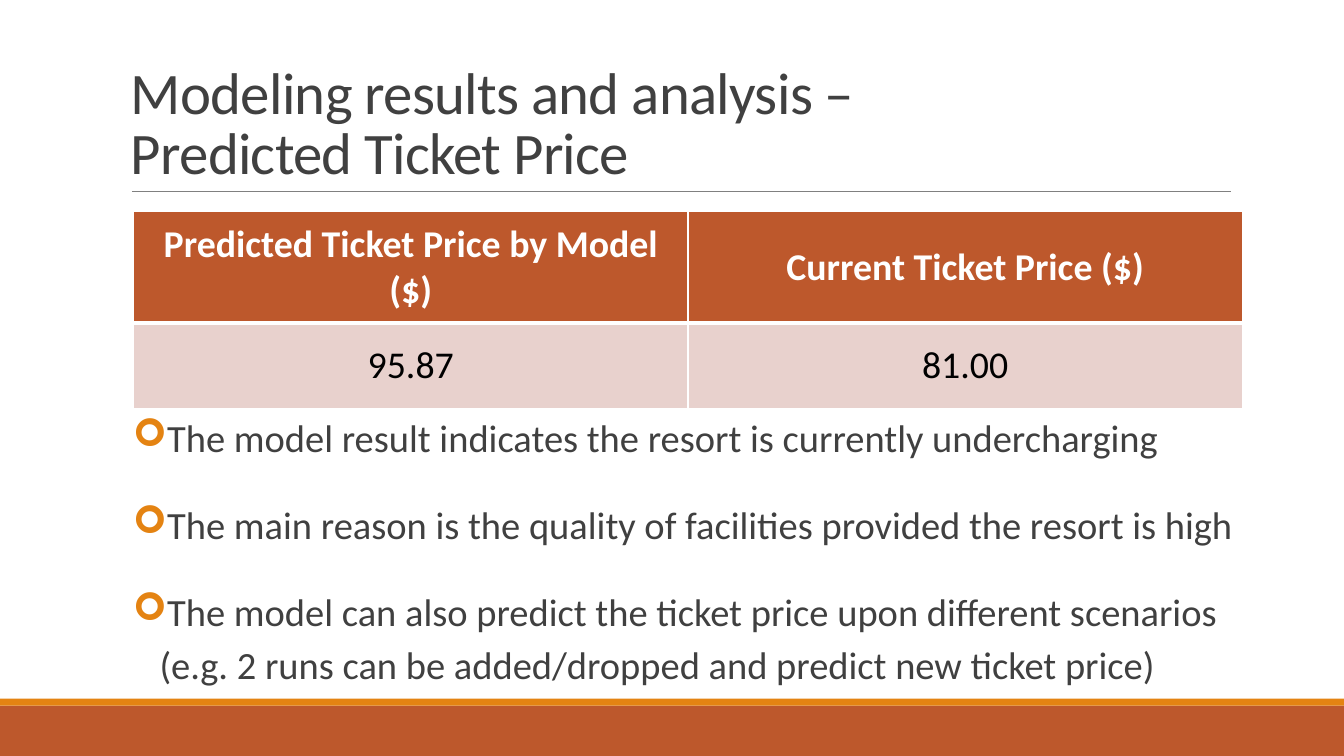
from dataclasses import dataclass

from lxml import etree
from pptx import Presentation
from pptx import util as u
from pptx.dml.color import RGBColor
from pptx.enum import shapes, text
from pptx.oxml import ns

RUST = RGBColor(0xBD, 0x58, 0x2C)
AMBER = RGBColor(0xE4, 0x83, 0x12)
GREY = RGBColor(0x80, 0x80, 0x80)
DARK = RGBColor(0x40, 0x40, 0x40)
PINK = RGBColor(0xE8, 0xD1, 0xCD)
WHITE = RGBColor(0xFF, 0xFF, 0xFF)
BLACK = RGBColor(0, 0, 0)
FONT = "Calibri"


@dataclass(frozen=True)
class Band:
    top: float
    height: float
    fill: RGBColor


@dataclass(frozen=True)
class Point:
    words: str
    line: float
    before: float
    bullet: bool = True


@dataclass(frozen=True)
class Row:
    cells: tuple[str, str]
    height: float
    fill: RGBColor
    ink: RGBColor
    bold: bool
    base: float


BANDS = (Band(504, 36, RUST), Band(499, 5, AMBER))
ROWS = (
    Row(("Predicted Ticket Price by Model ($)", "Current Ticket Price ($)"),
        80, RUST, WHITE, True, 3),
    Row(("95.87", "81.00"), 61, PINK, BLACK, False, 1),
)
POINTS = (
    Point("The model result indicates the resort is currently undercharging", 24, 0),
    Point("The main reason is the quality of facilities provided the resort is high", 48, 12),
    Point("The model can also predict the ticket price upon different scenarios", 48, 12),
    Point("(e.g. 2 runs can be added/dropped and predict new ticket price)", 24, 12, False),
)


def style(item, values: dict) -> None:
    for name, value in values.items():
        setattr(item, name, value)


def write(para, words: str, size: float, ink: RGBColor, bold: bool = False) -> None:
    """Put the words in the paragraph in the slide's font."""
    para.text = words
    for run in para.runs:
        style(run.font, {"name": FONT, "size": u.Pt(size), "bold": bold})
        run.font.color.rgb = ink


def add_band(slide, band: Band, width: int) -> None:
    bar = slide.shapes.add_shape(
        shapes.MSO_SHAPE.RECTANGLE, 0, u.Pt(band.top), width, u.Pt(band.height))
    bar.shadow.inherit = False
    bar.fill.solid()
    bar.fill.fore_color.rgb = band.fill
    bar.line.fill.background()


def add_rule(slide) -> None:
    """Draw the thin line under the title."""
    rule = slide.shapes.add_connector(
        shapes.MSO_CONNECTOR.STRAIGHT, u.Pt(94.3), u.Pt(136.8), u.Pt(879.1), u.Pt(136.8))
    rule.line.width = u.Pt(0.5)
    rule.line.color.rgb = GREY
    etree.SubElement(rule._element.spPr, ns.qn("a:effectLst"))


def add_title(slide) -> None:
    frame = slide.shapes.add_textbox(
        u.Pt(86.4), u.Pt(22.3), u.Pt(792), u.Pt(114.5)).text_frame
    style(frame, {"word_wrap": True, "vertical_anchor": text.MSO_ANCHOR.BOTTOM})
    para = frame.paragraphs[0]
    para.line_spacing = 0.85
    write(para, "Modeling results and analysis –\vPredicted Ticket Price", 42, DARK)
    for run in para.runs:
        run._r.get_or_add_rPr().set("spc", "-50")


def add_mark(para) -> None:
    """Give the paragraph an amber arrow bullet."""
    props = para._p.get_or_add_pPr()
    hue = etree.SubElement(props, ns.qn("a:buClr"))
    etree.SubElement(hue, ns.qn("a:srgbClr"), val=str(AMBER))
    etree.SubElement(props, ns.qn("a:buFont"), typeface="Wingdings")
    etree.SubElement(props, ns.qn("a:buChar"), char="➢")


def add_points(slide) -> None:
    frame = slide.shapes.add_textbox(
        u.Pt(95), u.Pt(305), u.Pt(848), u.Pt(194)).text_frame
    style(frame, {"word_wrap": True, "margin_left": 0, "margin_right": 0,
                  "margin_top": 0, "margin_bottom": 0})
    for i, point in enumerate(POINTS):
        para = frame.add_paragraph() if i else frame.paragraphs[0]
        style(para, {"line_spacing": u.Pt(point.line),
                     "space_before": u.Pt(point.before), "space_after": u.Pt(2)})
        write(para, point.words, 27.5, DARK)
        left, hang = (7.2, -7.2) if point.bullet else (19, 0)
        props = para._p.get_or_add_pPr()
        props.set("marL", str(u.Pt(left)))
        props.set("indent", str(u.Pt(hang)))
        if point.bullet:
            add_mark(para)


def add_edges(cell, base: float) -> None:
    """Border the cell in white, with its own width at the base."""
    props = cell._tc.get_or_add_tcPr()
    widths = {"lnL": 1, "lnR": 1, "lnT": 1, "lnB": base}
    for i, (side, width) in enumerate(widths.items()):
        edge = etree.Element(ns.qn(f"a:{side}"), w=str(u.Pt(width)))
        fill = etree.SubElement(edge, ns.qn("a:solidFill"))
        etree.SubElement(fill, ns.qn("a:srgbClr"), val=str(WHITE))
        props.insert(i, edge)


def add_prices(slide) -> None:
    height = sum(row.height for row in ROWS)
    table = slide.shapes.add_table(
        len(ROWS), 2, u.Pt(95.4), u.Pt(150.8), u.Pt(792), u.Pt(height)).table
    for r, row in enumerate(ROWS):
        table.rows[r].height = u.Pt(row.height)
        for c, words in enumerate(row.cells):
            cell = table.cell(r, c)
            cell.vertical_anchor = text.MSO_ANCHOR.MIDDLE
            cell.fill.solid()
            cell.fill.fore_color.rgb = row.fill
            para = cell.text_frame.paragraphs[0]
            para.alignment = text.PP_ALIGN.CENTER
            write(para, words, 27, row.ink, row.bold)
            # The line between the rows is as thick as the header's base.
            add_edges(cell, row.base)
            if r:
                top = cell._tc.tcPr.find(ns.qn("a:lnT"))
                top.set("w", str(u.Pt(ROWS[r - 1].base)))


def main() -> None:
    deck = Presentation()
    style(deck, {"slide_width": u.Pt(960), "slide_height": u.Pt(540)})
    slide = deck.slides.add_slide(deck.slide_layouts[6])
    for band in BANDS:
        add_band(slide, band, deck.slide_width)
    add_rule(slide)
    add_title(slide)
    add_points(slide)
    add_prices(slide)
    deck.save("out.pptx")


if __name__ == "__main__":
    main()
